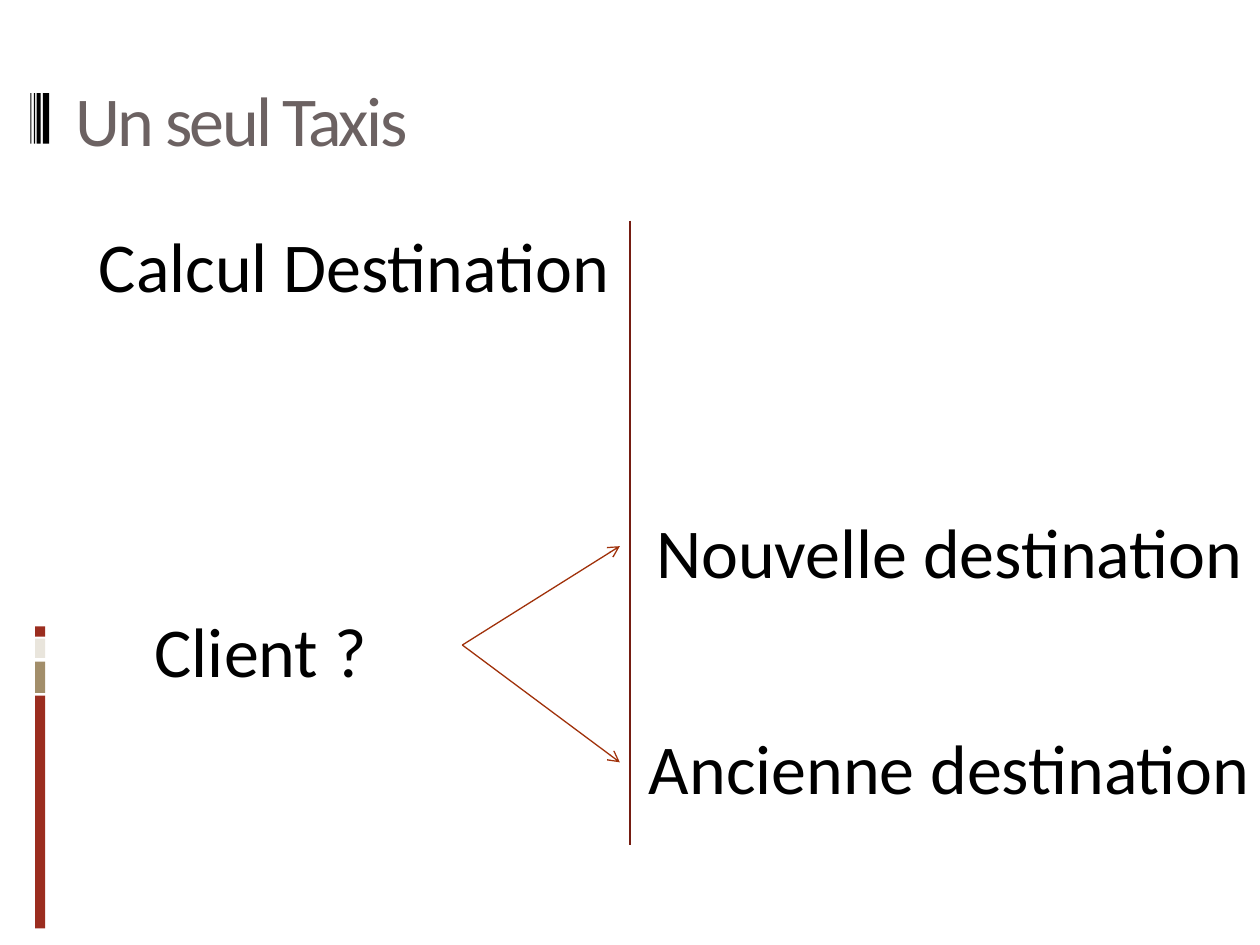
from lxml.etree import SubElement
from pptx import Presentation
from pptx.dml.color import RGBColor
from pptx.enum.shapes import MSO_CONNECTOR, MSO_SHAPE
from pptx.enum.text import MSO_ANCHOR, PP_ALIGN
from pptx.oxml.ns import qn
from pptx.util import Pt


def color(value):
    """Turn a hex string into a colour."""
    return RGBColor.from_string(value)


class SlideBuilder:
    """Hold the style and the current slide, and add elements to it."""

    font_format = {"name": "Calibri", "size": Pt(40)}
    body_format = {"alignment": PP_ALIGN.CENTER, "space_before": Pt(7)}
    title_format = {"alignment": PP_ALIGN.LEFT}

    def __init__(self, presentation):
        """Start a title-only slide."""
        self.slide = presentation.slides.add_slide(presentation.slide_layouts[5])

    def apply(self, target, values):
        """Set each attribute named in values."""
        for name, value in values.items():
            setattr(target, name, value)

    def fill_text(self, shape, text, text_color, paragraph_format, anchor):
        """Fill in one formatted paragraph and return its run."""
        self.apply(shape.text_frame, {"word_wrap": True, "vertical_anchor": anchor})
        paragraph = shape.text_frame.paragraphs[0]
        self.apply(paragraph, paragraph_format)
        run = paragraph.add_run()
        run.text = text
        self.apply(run.font, self.font_format)
        run.font.color.rgb = color(text_color)
        return run

    def title(self, text, left, top, width, height):
        """Place and fill the title placeholder."""
        shape = self.slide.shapes.title
        position = {"left": left, "top": top, "width": width, "height": height}
        self.apply(shape, {name: Pt(value) for name, value in position.items()})
        run = self.fill_text(shape, text, "6C6262", self.title_format, MSO_ANCHOR.MIDDLE)
        run._r.get_or_add_rPr().set("spc", "-150")

    def label(self, text, left, top, width, height=50.4):
        """Add a centred text box."""
        shape = self.slide.shapes.add_textbox(Pt(left), Pt(top), Pt(width), Pt(height))
        self.fill_text(shape, text, "000000", self.body_format, MSO_ANCHOR.TOP)
        return shape

    def bar(self, left, top, width, height, fill):
        """Add a plain filled rectangle."""
        shape = self.slide.shapes.add_shape(
            MSO_SHAPE.RECTANGLE, Pt(left), Pt(top), Pt(width), Pt(height))
        shape.shadow.inherit = False
        shape.fill.solid()
        shape.fill.fore_color.rgb = color(fill)
        shape.line.fill.background()

    def line(self, start, end, line_color):
        """Add a thin straight line between two points."""
        connector = self.slide.shapes.add_connector(
            MSO_CONNECTOR.STRAIGHT, *(Pt(value) for value in (*start, *end)))
        connector.line.width = Pt(0.75)
        connector.line.color.rgb = color(line_color)
        SubElement(connector._element.spPr, qn("a:effectLst"))
        return connector

    def arrow(self, source, target):
        """Join the right side of source to the left side of target."""
        connector = self.line((0, 0), (0, 0), "A0310A")
        connector.begin_connect(source, 3)
        connector.end_connect(target, 1)
        SubElement(connector._element.spPr.find(qn("a:ln")), qn("a:tailEnd"), type="arrow")


def main():
    """Build the slide and save it."""
    presentation = Presentation()
    presentation.slide_width, presentation.slide_height = Pt(720), Pt(540)
    builder = SlideBuilder(presentation)

    for top, height, fill in [(397.5, 133, "9B2D1F"), (378, 18, "A28E6A"),
                              (365, 11, "E9E5DC"), (358, 5.8, "9B2D1F")]:
        builder.bar(20, top, 5.8, height, fill)
    for left, width in [(24.5, 3.6), (21, 2.2), (19.4, 0.7), (17.3, 0.7)]:
        builder.bar(left, 53.3, width, 28.8, "000000")
    builder.line((360, 126), (360, 483), "751D12")

    builder.title("Un seul Taxis", 36, 16.5, 648, 102)
    builder.label("Calcul Destination", 44.6, 123.8, 315.4)
    client = builder.label("Client ?", 33.8, 343.4, 230.4)
    for text, top in [("Nouvelle destination", 286.9), ("Ancienne destination", 410.4)]:
        builder.arrow(client, builder.label(text, 354.2, top, 376.6))

    presentation.save("out.pptx")


if __name__ == "__main__":
    main()
